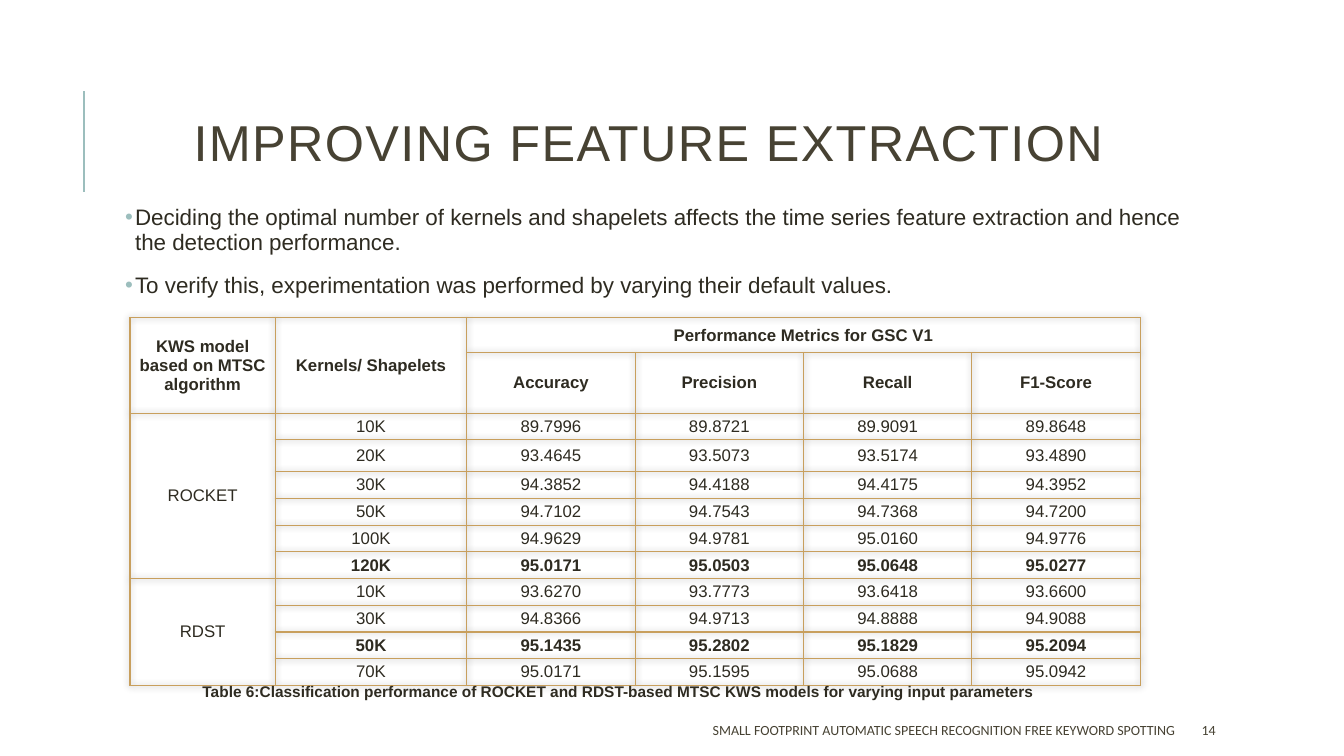
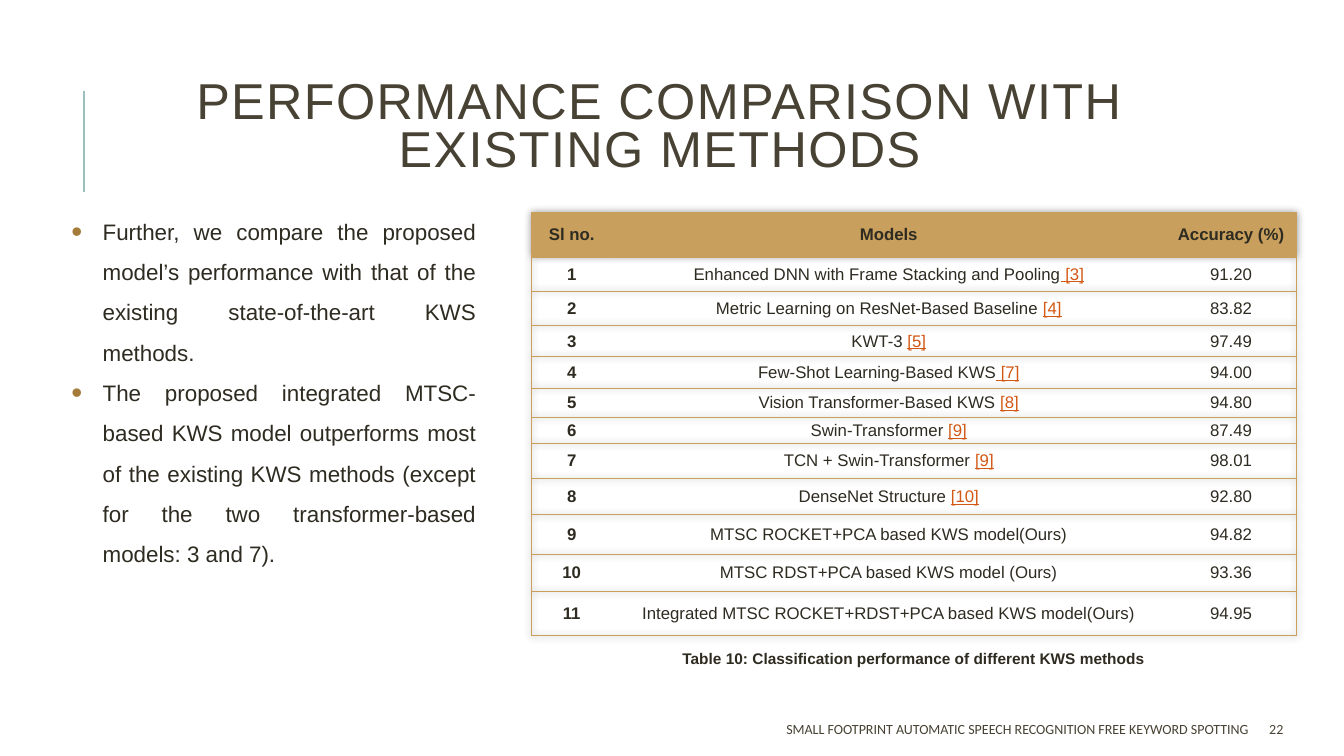
from dataclasses import dataclass
from typing import Optional, Sequence

from lxml.etree import SubElement
from pptx import Presentation
from pptx.dml.color import RGBColor
from pptx.enum.shapes import MSO_CONNECTOR as Connector
from pptx.enum.text import MSO_ANCHOR as Anchor, PP_ALIGN as Align
from pptx.oxml import parse_xml
from pptx.oxml.ns import nsdecls, qn
from pptx.util import Inches, Pt

INK = RGBColor(0x2E, 0x2B, 0x21)
TITLE = RGBColor(0x47, 0x42, 0x33)
TEAL = RGBColor(0x9C, 0xBE, 0xBD)
GOLD = RGBColor(0xC8, 0x9F, 0x5D)
BRONZE = RGBColor(0xA4, 0x7B, 0x38)
CITATION = RGBColor(0xD2, 0x58, 0x14)
BODY_FONT = "Arial"
FOOTER_FONT = "Calibri"
FOOTER = "SMALL FOOTPRINT AUTOMATIC SPEECH RECOGNITION FREE KEYWORD SPOTTING"
PLAIN_TABLE = "{2D5ABB26-0587-4C30-8999-92F81FD0307C}"


@dataclass(frozen=True)
class Area:
    left: float
    top: float
    width: float
    height: float

    def lengths(self) -> tuple:
        return tuple(map(Inches, (self.left, self.top, self.width, self.height)))


@dataclass(frozen=True)
class Span:
    text: str
    size: float = 12
    bold: bool = False
    color: RGBColor = INK
    font: str = BODY_FONT
    underline: bool = False
    tracking: int = 0


@dataclass(frozen=True)
class BulletStyle:
    indent: float
    color: RGBColor
    size: int
    spacing: float
    align: Align
    before: float = 0
    after: float = 0


@dataclass(frozen=True)
class Frame:
    title: str
    title_area: Area
    footer_area: Area
    number: str
    number_left: float


@dataclass(frozen=True)
class Group:
    name: str
    rows: Sequence[tuple]


@dataclass(frozen=True)
class Method:
    name: str
    accuracy: str
    citation: str = ""


GROUPS = (
    Group("ROCKET", (
        ("10K", "89.7996", "89.8721", "89.9091", "89.8648"),
        ("20K", "93.4645", "93.5073", "93.5174", "93.4890"),
        ("30K", "94.3852", "94.4188", "94.4175", "94.3952"),
        ("50K", "94.7102", "94.7543", "94.7368", "94.7200"),
        ("100K", "94.9629", "94.9781", "95.0160", "94.9776"),
        ("120K", "95.0171", "95.0503", "95.0648", "95.0277"),
    )),
    Group("RDST", (
        ("10K", "93.6270", "93.7773", "93.6418", "93.6600"),
        ("30K", "94.8366", "94.9713", "94.8888", "94.9088"),
        ("50K", "95.1435", "95.2802", "95.1829", "95.2094"),
        ("70K", "95.0171", "95.1595", "95.0688", "95.0942"),
    )),
)

METHODS = (
    Method("Enhanced DNN with Frame Stacking and Pooling", "91.20", " [3]"),
    Method("Metric Learning on ResNet-Based Baseline ", "83.82", "[4]"),
    Method("KWT-3 ", "97.49", "[5]"),
    Method("Few-Shot Learning-Based KWS", "94.00", " [7]"),
    Method("Vision Transformer-Based KWS ", "94.80", "[8]"),
    Method("Swin-Transformer ", "87.49", "[9]"),
    Method("TCN + Swin-Transformer ", "98.01", "[9]"),
    Method("DenseNet Structure ", "92.80", "[10]"),
    Method("MTSC ROCKET+PCA based KWS model(Ours)", "94.82"),
    Method("MTSC RDST+PCA based KWS model (Ours)", "93.36"),
    Method("Integrated MTSC ROCKET+RDST+PCA based KWS model(Ours)", "94.95"),
)


def add_span(para, span: Span) -> None:
    run = para.add_run()
    run.text = span.text
    font = run.font
    font.name, font.size, font.bold = span.font, Pt(span.size), span.bold
    font.color.rgb = span.color
    if span.underline:
        font.underline = True
    if span.tracking:
        font._element.set("spc", str(span.tracking))


def add_box(page, area: Area, anchor: Anchor = Anchor.TOP):
    frame = page.shapes.add_textbox(*area.lengths()).text_frame
    frame.word_wrap = True
    frame.vertical_anchor = anchor
    return frame


def add_label(page, area: Area, span: Span, align: Align,
              anchor: Anchor = Anchor.TOP, spacing: float = 1) -> None:
    para = add_box(page, area, anchor).paragraphs[0]
    para.alignment = align
    para.line_spacing = spacing
    add_span(para, span)


def add_bullets(page, area: Area, texts: Sequence[str], style: BulletStyle,
                inset: float = 0.1) -> None:
    frame = add_box(page, area)
    frame.margin_left = frame.margin_right = Inches(inset)
    for index, text in enumerate(texts):
        para = frame.add_paragraph() if index else frame.paragraphs[0]
        para.alignment = style.align
        para.line_spacing = style.spacing
        para.space_before, para.space_after = Pt(style.before), Pt(style.after)
        properties = para._p.get_or_add_pPr()
        properties.set("marL", str(Inches(style.indent)))
        properties.set("indent", str(-Inches(style.indent)))
        color = SubElement(properties, qn("a:buClr"))
        SubElement(color, qn("a:srgbClr"), val=str(style.color))
        SubElement(properties, qn("a:buSzPct"), val=str(style.size * 1000))
        SubElement(properties, qn("a:buFont"), typeface=BODY_FONT)
        SubElement(properties, qn("a:buChar"), char="•")
        add_span(para, Span(text, 16))


def add_page(deck, frame: Frame):
    page = deck.slides.add_slide(deck.slide_layouts[6])
    rule = page.shapes.add_connector(
        Connector.STRAIGHT, Inches(0.83), Inches(1.9), Inches(0.83), Inches(0.9))
    rule.line.color.rgb = TEAL
    rule.line.width = Pt(1.5)
    SubElement(rule._element.spPr, qn("a:effectLst"))
    add_label(page, frame.title_area, Span(frame.title, 36, color=TITLE, tracking=100),
              Align.CENTER, Anchor.MIDDLE, 0.8)
    small = {"size": 10, "color": TITLE, "font": FOOTER_FONT}
    add_label(page, frame.footer_area, Span(FOOTER, **small), Align.RIGHT, Anchor.MIDDLE)
    number_area = Area(frame.number_left, frame.footer_area.top, 0.8, 0.3)
    add_label(page, number_area, Span(frame.number, **small), Align.LEFT, Anchor.MIDDLE)
    return page


def add_grid(page, left: float, top: float, columns: Sequence[float], rows: Sequence[float]):
    area = Area(left, top, sum(columns), sum(rows))
    table = page.shapes.add_table(len(rows), len(columns), *area.lengths()).table
    table.first_row = table.horz_banding = False
    for column, width in zip(table.columns, columns):
        column.width = Inches(width)
    for row, height in zip(table.rows, rows):
        row.height = Inches(height)
    properties = table._tbl.tblPr
    properties.find(qn("a:tableStyleId")).text = PLAIN_TABLE
    properties.insert(0, parse_xml(
        f'<a:effectLst {nsdecls("a")}><a:outerShdw blurRad="{Inches(0.07)}" dist="0" dir="0">'
        '<a:srgbClr val="000000"><a:alpha val="40000"/></a:srgbClr>'
        '</a:outerShdw></a:effectLst>'))
    return table


def fill_cell(cell, spans: Sequence[Span], edges: str, weight: float,
              fill: Optional[RGBColor] = None) -> None:
    cell.margin_left = cell.margin_right = cell.margin_top = cell.margin_bottom = 0
    cell.vertical_anchor = Anchor.MIDDLE
    properties = cell._tc.get_or_add_tcPr()
    for edge in edges:
        line = SubElement(properties, qn(f"a:ln{edge}"), w=str(Pt(weight)))
        paint = SubElement(line, qn("a:solidFill"))
        SubElement(paint, qn("a:srgbClr"), val=str(GOLD))
    if fill is None:
        cell.fill.background()
    else:
        cell.fill.solid()
        cell.fill.fore_color.rgb = fill
    para = cell.text_frame.paragraphs[0]
    para.alignment = Align.CENTER
    for span in spans:
        add_span(para, span)


def add_feature_table(page) -> None:
    heads = ("Accuracy", "Precision", "Recall", "F1-Score")
    rows = [
        ("KWS model based on MTSC algorithm", "Kernels/ Shapelets",
         "Performance Metrics for GSC V1", "", "", ""),
        ("", "") + heads,
    ]
    bold_rows = {0, 1}
    merges = [(0, 0, 1, 0), (0, 1, 1, 1), (0, 2, 0, 5)]
    for group in GROUPS:
        start = len(rows)
        best = max(group.rows, key=lambda row: float(row[1]))
        bold_rows.add(start + group.rows.index(best))
        rows += [("" if index else group.name,) + row
                 for index, row in enumerate(group.rows)]
        merges.append((start, 0, len(rows) - 1, 0))
    heights = [0.35, 0.56, 0.26, 0.32] + [0.265] * 8
    table = add_grid(page, 1.29, 3.15, [1.44, 1.9] + [1.67] * 4, heights)
    for r, row in enumerate(rows):
        for c, text in enumerate(row):
            bold = r in bold_rows and (c > 0 or r < 2)
            spans = [Span(text, bold=bold)] if text else []
            fill_cell(table.cell(r, c), spans, "LRTB", 1)
    for top, left, bottom, right in merges:
        table.cell(top, left).merge(table.cell(bottom, right))


def add_method_table(page) -> None:
    rows = [[[Span(head, bold=True)] for head in ("Sl no.", "Models", "Accuracy (%)")]]
    for number, method in enumerate(METHODS, 1):
        model = [Span(method.name)]
        if method.citation:
            model.append(Span(method.citation, color=CITATION, underline=True))
        rows.append([[Span(str(number), bold=True)], model, [Span(method.accuracy)]])
    heights = [0.44, 0.34, 0.34, 0.31, 0.31, 0.29, 0.26, 0.35, 0.36, 0.39, 0.37, 0.44]
    table = add_grid(page, 5.27, 2.11, [0.8, 5.49, 1.3], heights)
    for r, row in enumerate(rows):
        for c, (spans, edges) in enumerate(zip(row, ("LTB", "TB", "RTB"))):
            fill_cell(table.cell(r, c), spans, edges, 0.75, None if r else GOLD)


def build_features(deck) -> None:
    page = add_page(deck, Frame(
        "IMPROVING FEATURE EXTRACTION", Area(1.12, 0.64, 10.63, 1.64),
        Area(5.3, 7.09, 6.45, 0.3), "14", 11.82))
    add_bullets(page, Area(1.19, 2, 10.63, 1.1), (
        "Deciding the optimal number of kernels and shapelets affects the time series "
        "feature extraction and hence the detection performance.",
        "To verify this, experimentation was performed by varying their default values.",
    ), BulletStyle(0.1, TEAL, 100, 0.9, Align.LEFT, 12, 2), inset=0.05)
    add_feature_table(page)
    add_label(page, Area(1.76, 6.72, 8.75, 0.29), Span(
        "Table 6:Classification performance of ROCKET and RDST-based MTSC KWS models "
        "for varying input parameters", 11, True), Align.CENTER)


def build_comparison(deck) -> None:
    page = add_page(deck, Frame(
        "PERFORMANCE COMPARISON WITH EXISTING METHODS", Area(1.23, 0.46, 10.63, 1.64),
        Area(6.03, 7.08, 6.45, 0.3), "22", 12.49))
    add_method_table(page)
    add_bullets(page, Area(0.61, 1.98, 4.21, 3.69), (
        "Further, we compare the proposed model’s performance with that of the existing "
        "state-of-the-art KWS methods.",
        "The proposed integrated MTSC-based KWS model outperforms most of the existing "
        "KWS methods (except for the two transformer-based models: 3 and 7).",
    ), BulletStyle(0.31, BRONZE, 140, 1.5, Align.JUSTIFY))
    add_label(page, Area(6.67, 6.39, 6.66, 0.29), Span(
        "Table 10: Classification performance of different KWS methods", 11, True), Align.LEFT)


def main() -> None:
    deck = Presentation()
    deck.slide_width, deck.slide_height = Inches(13.33), Inches(7.5)
    build_features(deck)
    build_comparison(deck)
    deck.save("out.pptx")


if __name__ == "__main__":
    main()
